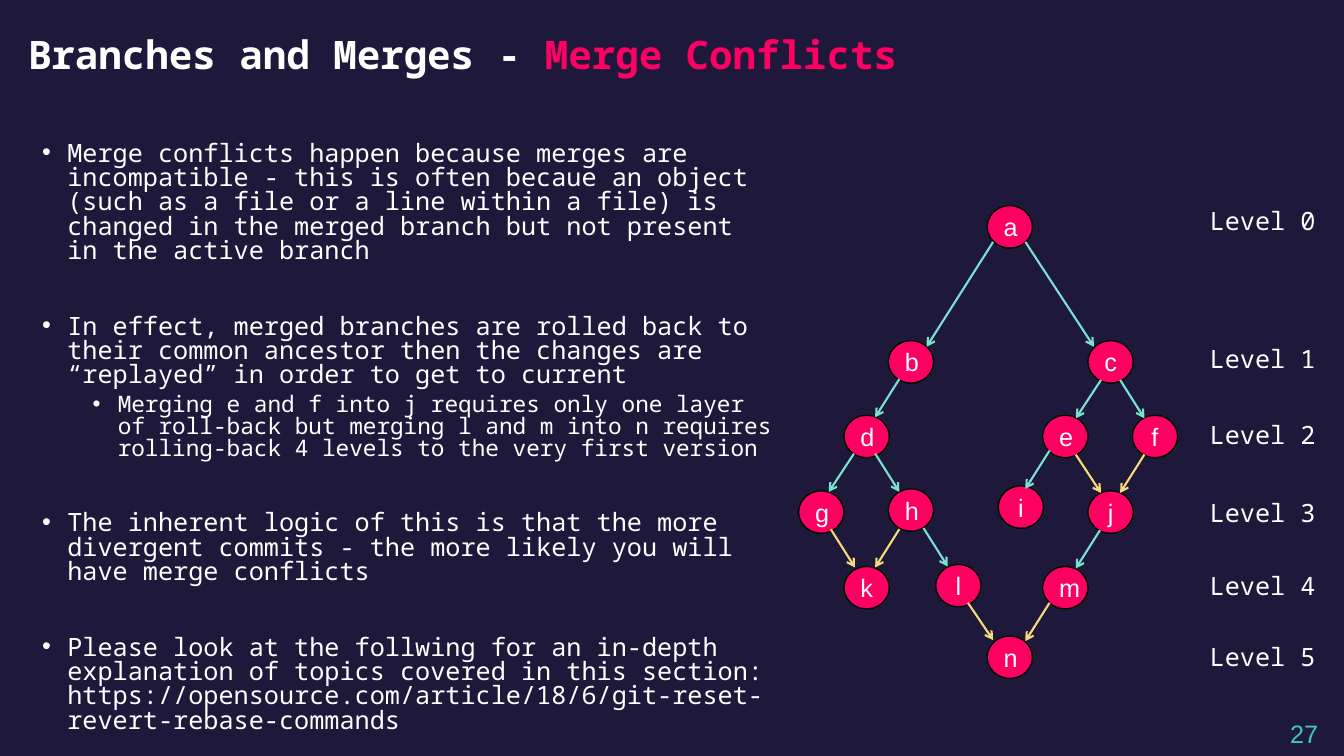
import pptx
import pptx.dml.color
import pptx.enum.shapes
import pptx.enum.text
import pptx.oxml.ns
import pptx.util
from lxml import etree

Inches, Pt = pptx.util.Inches, pptx.util.Pt
RGBColor = pptx.dml.color.RGBColor
ALIGN = pptx.enum.text.PP_ALIGN
ANCHOR = pptx.enum.text.MSO_ANCHOR
qn = pptx.oxml.ns.qn

NAVY = RGBColor(0x1E, 0x19, 0x3B)
PINK = RGBColor(0xFD, 0x00, 0x62)
WHITE = RGBColor(0xFF, 0xFF, 0xFF)
BLACK = RGBColor(0x00, 0x00, 0x00)
MINT = RGBColor(0x7C, 0xE0, 0xD1)
YELLOW = RGBColor(0xF7, 0xD9, 0x7B)
TEAL = RGBColor(0x40, 0xC7, 0xB7)

MONO, SANS = "Noto Sans Mono", "Arial"
NODE_W, NODE_H = 0.45, 0.42

# text, left margin in inches, size, space before
BULLETS = [
    ("Merge conflicts happen because merges are incompatible - this is often "
     "becaue an object (such as a file or a line within a file) is changed in "
     "the merged branch but not present in the active branch", 0.25, 18, 0),
    ("In effect, merged branches are rolled back to their common ancestor then "
     "the changes are “replayed” in order to get to current", 0.25, 18, 37),
    ("Merging e and f into j requires only one layer of roll-back but merging "
     "l and m into n requires rolling-back 4 levels to the very first version",
     0.75, 16.2, 5),
    ("The inherent logic of this is that the more divergent commits - the more "
     "likely you will have merge conflicts", 0.25, 18, 37),
    ("Please look at the follwing for an in-depth explanation of topics covered "
     "in this section: https://opensource.com/article/18/6/"
     "git-reset-revert-rebase-commands", 0.25, 18, 37),
]

# left and top of each commit
COMMITS = {
    "a": (9.79, 2.04), "b": (8.81, 3.38), "c": (10.79, 3.38),
    "d": (8.37, 4.12), "e": (10.34, 4.12), "f": (11.23, 4.12),
    "g": (7.92, 4.87), "h": (8.81, 4.85), "i": (9.9, 4.82),
    "j": (10.79, 4.87), "k": (8.37, 5.62), "l": (9.28, 5.6),
    "m": (10.34, 5.62), "n": (9.79, 6.31),
}

# x1, y1, x2, y2 of each arrow
BRANCHES = [
    (9.85, 2.4, 9.19, 3.44), (10.17, 2.4, 10.85, 3.44),
    (8.92, 3.76, 8.68, 4.14), (10.92, 3.77, 10.67, 4.15),
    (11.11, 3.77, 11.35, 4.15), (8.47, 4.5, 8.22, 4.88),
    (8.68, 4.5, 8.92, 4.88), (10.41, 4.47, 10.17, 4.85),
    (9.16, 5.24, 9.4, 5.62), (10.91, 5.26, 10.67, 5.64),
]
MERGES = [
    (10.67, 4.51, 10.92, 4.89), (11.35, 4.51, 11.11, 4.89),
    (8.24, 5.25, 8.48, 5.63), (8.92, 5.25, 8.68, 5.63),
    (9.6, 5.98, 9.85, 6.35), (10.41, 5.98, 10.17, 6.36),
]
LEVEL_TOPS = [1.99, 3.36, 4.11, 4.88, 5.61, 6.31]


def apply(target, values):
    """Set each attribute of target named in values."""
    for name, value in values.items():
        setattr(target, name, value)


class Deck:
    def __init__(self):
        self.prs = pptx.Presentation()
        apply(self.prs, {"slide_width": Inches(13.33), "slide_height": Inches(7.5)})
        self.s = self.prs.slides.add_slide(self.prs.slide_layouts[6])
        fill = self.s.background.fill
        fill.solid()
        fill.fore_color.rgb = NAVY

    def run(self, p, text, font=MONO, size=18, color=WHITE, bold=False):
        r = p.add_run()
        r.text = text
        apply(r.font, {"name": font, "size": Pt(size), "bold": bold})
        r.font.color.rgb = color

    def box(self, x, y, w, h, anchor=ANCHOR.TOP):
        """Add a wrapping text box and return its text frame."""
        tf = self.s.shapes.add_textbox(
            Inches(x), Inches(y), Inches(w), Inches(h)).text_frame
        apply(tf, {"word_wrap": True, "vertical_anchor": anchor})
        return tf

    def title(self, plain, accent):
        p = self.box(0.18, 0.19, 12.97, 0.75, ANCHOR.MIDDLE).paragraphs[0]
        p.line_spacing = 0.9
        self.run(p, plain, size=28, bold=True)
        self.run(p, accent, size=28, color=PINK, bold=True)

    def page_number(self, number):
        p = self.box(12.53, 7.08, 0.81, 0.4, ANCHOR.MIDDLE).paragraphs[0]
        p.alignment = ALIGN.CENTER
        self.run(p, number, SANS, color=TEAL)

    def level(self, number, top):
        p = self.box(11.9, top, 1.43, 0.4).paragraphs[0]
        self.run(p, f"Level {number}")

    def bullets(self, items):
        tf = self.box(0.32, 1.37, 7.46, 6)
        for n, (text, margin, size, before) in enumerate(items):
            p = tf.add_paragraph() if n else tf.paragraphs[0]
            apply(p, {"line_spacing": 0.8, "space_before": Pt(before),
                      "level": int(margin > 0.5)})
            pPr = p._p.get_or_add_pPr()
            pPr.set("marL", str(Inches(margin)))
            pPr.set("indent", str(Inches(-0.25)))
            etree.SubElement(pPr, qn("a:buFont"), typeface=SANS)
            etree.SubElement(pPr, qn("a:buChar"), char="•")
            self.run(p, text, size=size)

    def commit(self, name, x, y):
        sp = self.s.shapes.add_shape(
            pptx.enum.shapes.MSO_SHAPE.OVAL,
            Inches(x), Inches(y), Inches(NODE_W), Inches(NODE_H))
        sp.shadow.inherit = False
        sp.fill.solid()
        sp.fill.fore_color.rgb = PINK
        sp.line.color.rgb = BLACK
        sp.line.width = Pt(1)
        tf = sp.text_frame
        tf.vertical_anchor = ANCHOR.MIDDLE
        p = tf.paragraphs[0]
        p.alignment = ALIGN.CENTER
        self.run(p, name, SANS)

    def arrow(self, ends, color):
        c = self.s.shapes.add_connector(
            pptx.enum.shapes.MSO_CONNECTOR.STRAIGHT, *map(Inches, ends))
        c.line.color.rgb = color
        c.line.width = Pt(1.5)
        etree.SubElement(c.line._get_or_add_ln(), qn("a:tailEnd"), type="arrow")
        etree.SubElement(c._element.spPr, qn("a:effectLst"))


def main():
    deck = Deck()
    deck.page_number("27")
    deck.title("Branches and Merges - ", "Merge Conflicts")
    for name, (x, y) in COMMITS.items():
        deck.commit(name, x, y)
    for color, arrows in ((MINT, BRANCHES), (YELLOW, MERGES)):
        for ends in arrows:
            deck.arrow(ends, color)
    deck.bullets(BULLETS)
    for number, top in enumerate(LEVEL_TOPS):
        deck.level(number, top)
    deck.prs.save("out.pptx")


if __name__ == "__main__":
    main()
